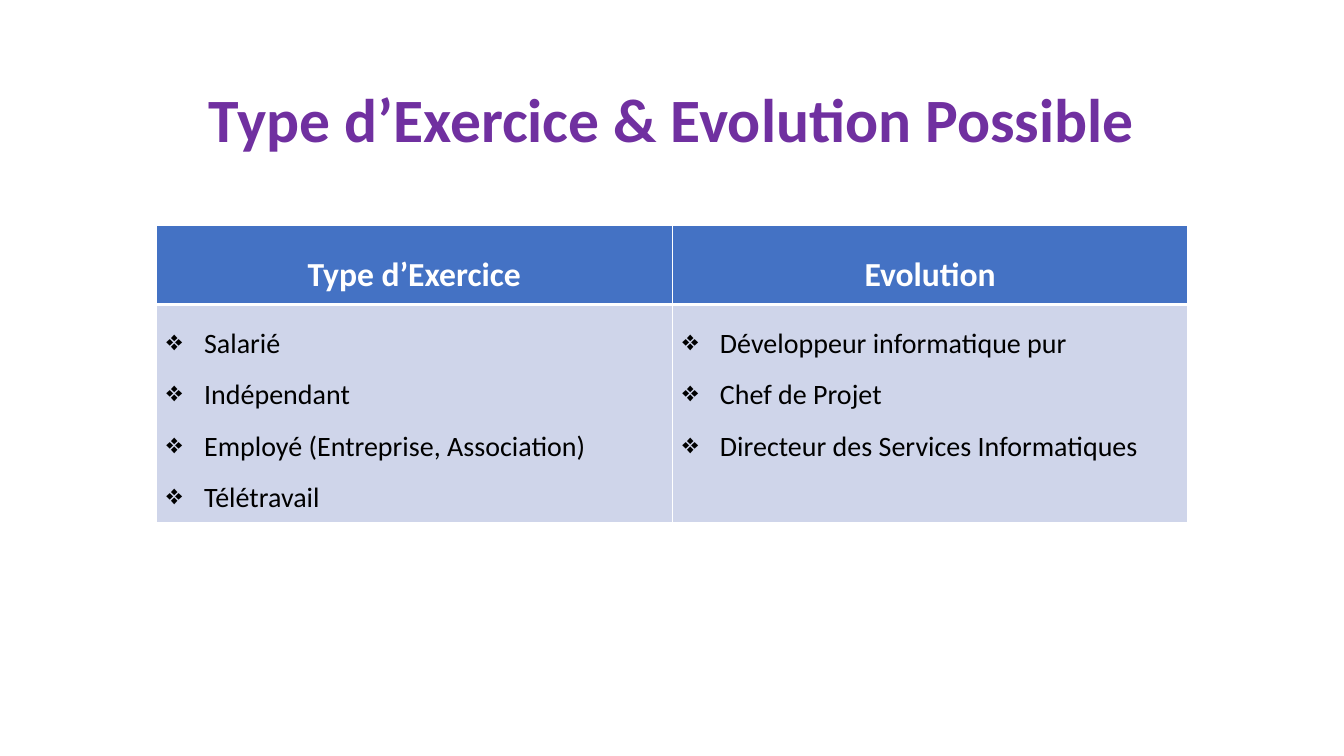
from dataclasses import dataclass

from lxml.etree import SubElement
from pptx import Presentation
from pptx.dml.color import RGBColor
from pptx.enum.text import MSO_ANCHOR as Anchor, PP_ALIGN as Align
from pptx.oxml.ns import qn
from pptx.slide import Slide
from pptx.table import _Cell as Cell
from pptx.util import Cm, Pt

PURPLE = RGBColor(0x70, 0x30, 0xA0)
BLUE = RGBColor(0x44, 0x72, 0xC4)
PALE_BLUE = RGBColor(0xCF, 0xD5, 0xEA)
WHITE = RGBColor(0xFF, 0xFF, 0xFF)
BLACK = RGBColor(0x00, 0x00, 0x00)

FONT = "Calibri"
BULLET = "❖"
BULLET_INDENT = Cm(0.95)
COLUMN_WIDTH = Cm(13)
HEADER_HEIGHT = Cm(2)
BODY_HEIGHT = Cm(5.51)
THIN, THICK = Pt(1), Pt(3)


@dataclass(frozen=True)
class TextStyle:
    size: int
    color: RGBColor
    bold: bool
    align: Align
    line_spacing: float
    bulleted: bool = False


@dataclass(frozen=True)
class Column:
    heading: str
    items: list[str]


TITLE_STYLE = TextStyle(44, PURPLE, True, Align.CENTER, 0.9)
HEADING_STYLE = TextStyle(24, WHITE, True, Align.CENTER, 1.5)
ITEM_STYLE = TextStyle(20, BLACK, False, Align.LEFT, 1.5, bulleted=True)

COLUMNS = [
    Column("Type d’Exercice",
           ["Salarié", "Indépendant", "Employé (Entreprise, Association)", "Télétravail"]),
    Column("Evolution",
           ["Développeur informatique pur", "Chef de Projet",
            "Directeur des Services Informatiques"]),
]


def write_lines(text_frame, lines: list[str], style: TextStyle) -> None:
    for index, line in enumerate(lines):
        paragraph = text_frame.add_paragraph() if index else text_frame.paragraphs[0]
        paragraph.alignment = style.align
        paragraph.line_spacing = style.line_spacing
        if style.bulleted:
            properties = paragraph._p.get_or_add_pPr()
            properties.set("marL", str(BULLET_INDENT))
            properties.set("indent", str(-BULLET_INDENT))
            SubElement(properties, qn("a:buChar"), char=BULLET)
        run = paragraph.add_run()
        run.text = line
        run.font.name = FONT
        run.font.size = Pt(style.size)
        run.font.bold = style.bold
        run.font.color.rgb = style.color


def set_borders(cell: Cell, top: int, bottom: int) -> None:
    """Draw white cell borders; call before filling, as the schema orders them."""
    properties = cell._tc.get_or_add_tcPr()
    widths = {"a:lnL": THIN, "a:lnR": THIN, "a:lnT": top, "a:lnB": bottom}
    for tag, width in widths.items():
        line = SubElement(properties, qn(tag), w=str(width))
        fill = SubElement(line, qn("a:solidFill"))
        SubElement(fill, qn("a:srgbClr"), val=str(WHITE))


def fill_cell(cell: Cell, color: RGBColor, lines: list[str], style: TextStyle) -> None:
    cell.fill.solid()
    cell.fill.fore_color.rgb = color
    write_lines(cell.text_frame, lines, style)


def add_title(slide: Slide, text: str) -> None:
    title = slide.shapes.add_textbox(Cm(2.33), Cm(1.25), Cm(29.21), Cm(3.68))
    title.text_frame.word_wrap = True
    title.text_frame.vertical_anchor = Anchor.MIDDLE
    write_lines(title.text_frame, [text], TITLE_STYLE)


def add_career_table(slide: Slide, columns: list[Column]) -> None:
    table = slide.shapes.add_table(
        2, len(columns), Cm(3.94), Cm(5.67),
        COLUMN_WIDTH * len(columns), HEADER_HEIGHT + BODY_HEIGHT).table
    table.rows[0].height = HEADER_HEIGHT
    table.rows[1].height = BODY_HEIGHT
    for index, column in enumerate(columns):
        table.columns[index].width = COLUMN_WIDTH
        header, body = table.cell(0, index), table.cell(1, index)
        set_borders(header, THIN, THICK)
        set_borders(body, THICK, THIN)
        header.vertical_anchor = Anchor.MIDDLE
        fill_cell(header, BLUE, [column.heading], HEADING_STYLE)
        fill_cell(body, PALE_BLUE, column.items, ITEM_STYLE)


def main() -> None:
    presentation = Presentation()
    presentation.slide_width = Cm(33.87)
    presentation.slide_height = Cm(19.05)
    slide = presentation.slides.add_slide(presentation.slide_layouts[6])
    add_title(slide, "Type d’Exercice & Evolution Possible")
    add_career_table(slide, COLUMNS)
    presentation.save("out.pptx")


if __name__ == "__main__":
    main()
